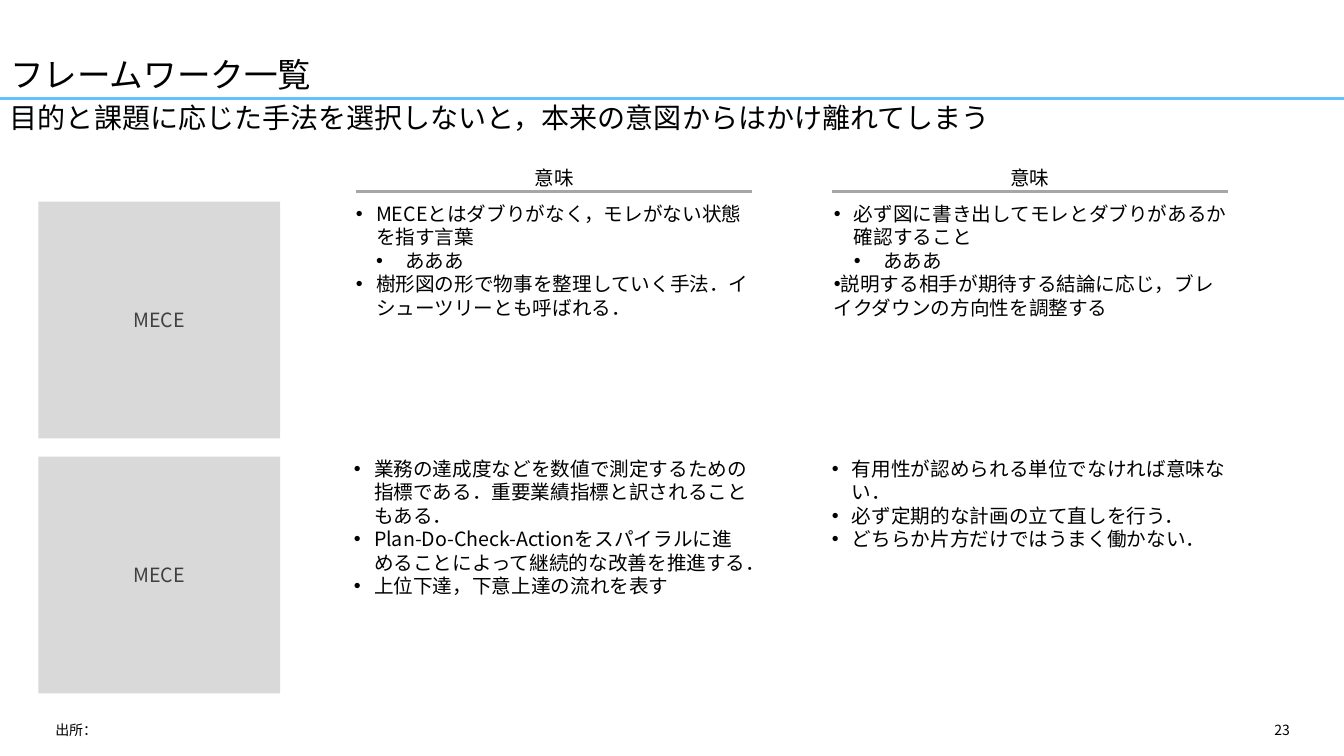
from dataclasses import dataclass

from lxml import etree
from pptx import Presentation
from pptx.dml.color import RGBColor
from pptx.enum import shapes, text
from pptx.oxml import ns
from pptx.util import Inches, Pt


@dataclass(frozen=True)
class Theme:
    font: str = "Noto Sans CJK JP"
    ink: str = "000000"
    label: str = "404040"
    panel: str = "D9D9D9"
    accent: str = "63C1FF"
    rule: str = "A6A6A6"
    title: int = 24
    message: int = 20
    body: int = 14
    footer: int = 10
    line: float = 2.25


ITEM = (0, 0.2, -0.2)
SUBITEM = (1, 0.49, -0.29)
FLUSH_ITEM = (0, 0, -0.3)


class SlideBuilder:
    def __init__(self, slide, theme):
        self.slide = slide
        self.theme = theme

    def style(self, paragraph, size, color):
        for run in paragraph.runs:
            run.font.name = self.theme.font
            run.font.size = Pt(size)
            run.font.color.rgb = RGBColor.from_string(color)
            east_asian = etree.SubElement(run.font._element, ns.qn("a:ea"))
            east_asian.set("typeface", self.theme.font)

    def title(self, wording, left, top, width, height):
        heading = self.slide.shapes.title
        heading.left, heading.top = Inches(left), Inches(top)
        heading.width, heading.height = Inches(width), Inches(height)
        frame = heading.text_frame
        frame.text = wording
        frame.auto_size = text.MSO_AUTO_SIZE.NONE
        frame.vertical_anchor = text.MSO_ANCHOR.BOTTOM
        paragraph = frame.paragraphs[0]
        paragraph.alignment = text.PP_ALIGN.LEFT
        paragraph.line_spacing = 0.9
        self.style(paragraph, self.theme.title, self.theme.ink)

    def box(self, left, top, width, height, inset=True, wrap=True):
        frame = self.slide.shapes.add_textbox(
            Inches(left), Inches(top), Inches(width), Inches(height)).text_frame
        frame.word_wrap = wrap
        if not inset:
            self.clear_insets(frame)
        return frame

    def clear_insets(self, frame):
        frame.margin_left = frame.margin_right = 0
        frame.margin_top = frame.margin_bottom = 0

    def text(self, wording, left, top, width, height, size,
             align=text.PP_ALIGN.LEFT, spacing=None, inset=True, wrap=True):
        frame = self.box(left, top, width, height, inset, wrap)
        frame.text = wording
        paragraph = frame.paragraphs[0]
        paragraph.alignment = align
        paragraph.line_spacing = spacing
        self.style(paragraph, size, self.theme.ink)

    def bullets(self, items, left, top, width, height):
        frame = self.box(left, top, width, height, inset=False)
        frame.text = "\n".join(wording for wording, _ in items)
        for paragraph, (_, (level, margin, indent)) in zip(frame.paragraphs, items):
            paragraph.level = level
            properties = paragraph._p.get_or_add_pPr()
            properties.set("marL", str(Inches(margin)))
            properties.set("indent", str(Inches(indent)))
            etree.SubElement(properties, ns.qn("a:buFont")).set("typeface", "Arial")
            etree.SubElement(properties, ns.qn("a:buChar")).set("char", "•")
            self.style(paragraph, self.theme.body, self.theme.ink)

    def panel(self, wording, left, top, width, height):
        panel = self.slide.shapes.add_shape(
            shapes.MSO_SHAPE.RECTANGLE,
            Inches(left), Inches(top), Inches(width), Inches(height))
        panel.shadow.inherit = False
        panel.fill.solid()
        panel.fill.fore_color.rgb = RGBColor.from_string(self.theme.panel)
        panel.line.fill.background()
        frame = panel.text_frame
        self.clear_insets(frame)
        frame.vertical_anchor = text.MSO_ANCHOR.MIDDLE
        frame.text = wording
        frame.paragraphs[0].alignment = text.PP_ALIGN.CENTER
        self.style(frame.paragraphs[0], self.theme.body, self.theme.label)

    def rule(self, left, top, width, color):
        rule = self.slide.shapes.add_connector(
            shapes.MSO_CONNECTOR.STRAIGHT,
            Inches(left), Inches(top), Inches(left + width), Inches(top))
        rule.line.color.rgb = RGBColor.from_string(color)
        rule.line.width = Pt(self.theme.line)
        etree.SubElement(rule._element.spPr, ns.qn("a:effectLst"))


COLUMN_LEFTS = (3.53, 8.25)
COLUMN_WIDTH = 3.93
HEADING_WIDTH = 0.39
ROW_TOPS = (2, 4.53)

FRAMEWORKS = [
    ("MECE", [
        (3.53, 1.18, [
            ("MECEとはダブりがなく，モレがない状態を指す言葉", ITEM),
            ("あああ", SUBITEM),
            ("樹形図の形で物事を整理していく手法．イシューツリーとも呼ばれる．", ITEM),
        ]),
        (8.27, 1.41, [
            ("必ず図に書き出してモレとダブりがあるか確認すること", ITEM),
            ("あああ", SUBITEM),
            ("説明する相手が期待する結論に応じ，ブレイクダウンの方向性を調整する", FLUSH_ITEM),
        ]),
    ]),
    ("MECE", [
        (3.51, 1.88, [
            ("業務の達成度などを数値で測定するための指標である．重要業績指標と訳されることもある．", ITEM),
            ("Plan-Do-Check-Actionをスパイラルに進めることによって継続的な改善を推進する．", ITEM),
            ("上位下達，下意上達の流れを表す", ITEM),
        ]),
        (8.25, 1.18, [
            ("有用性が認められる単位でなければ意味ない．", ITEM),
            ("必ず定期的な計画の立て直しを行う．", ITEM),
            ("どちらか片方だけではうまく働かない．", ITEM),
        ]),
    ]),
]


def main():
    deck = Presentation()
    deck.slide_width, deck.slide_height = Inches(13.33), Inches(7.5)
    theme = Theme()
    builder = SlideBuilder(deck.slides.add_slide(deck.slide_layouts[5]), theme)

    builder.rule(0, 0.98, 13.33, theme.accent)
    builder.title("フレームワーク一覧", 0, 0, 13.33, 0.99)
    builder.text("目的と課題に応じた手法を選択しないと，本来の意図からはかけ離れてしまう",
                 0, 0.99, 13.33, 0.55, theme.message, spacing=0.9)

    for column_left in COLUMN_LEFTS:
        heading_left = column_left + (COLUMN_WIDTH - HEADING_WIDTH) / 2
        builder.text("意味", heading_left, 1.65, HEADING_WIDTH, 0.24, theme.body,
                     inset=False, wrap=False)
        builder.rule(column_left, 1.9, COLUMN_WIDTH, theme.rule)

    for row_top, (framework, descriptions) in zip(ROW_TOPS, FRAMEWORKS):
        builder.panel(framework, 0.38, row_top, 2.4, 2.35)
        for left, height, items in descriptions:
            builder.bullets(items, left, row_top, COLUMN_WIDTH, height)

    builder.text("出所：", 0.45, 7.11, 8.47, 0.24, theme.footer)
    builder.text("23", 9.42, 7.11, 3.47, 0.24, theme.footer, align=text.PP_ALIGN.RIGHT)
    deck.save("out.pptx")


if __name__ == "__main__":
    main()
